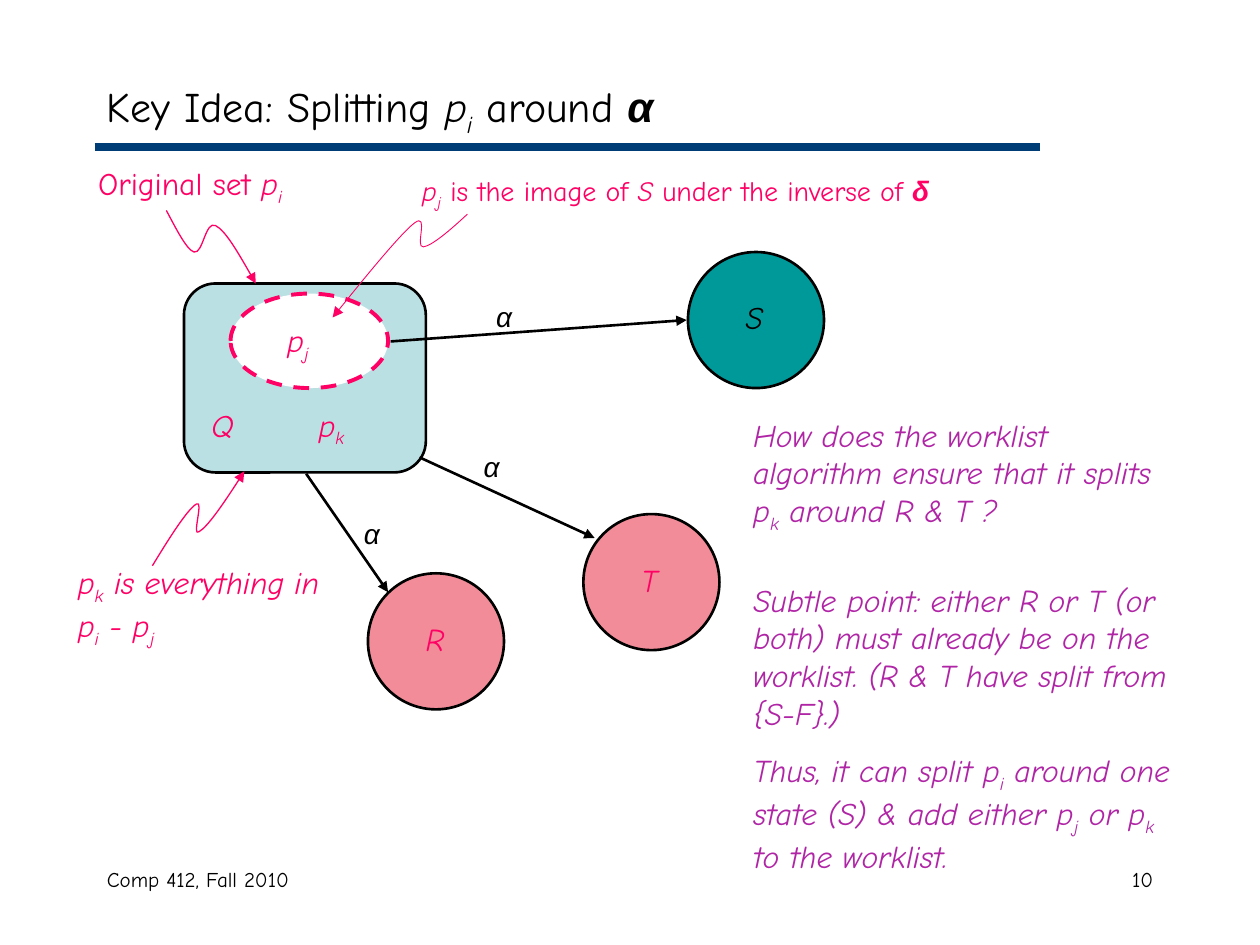
from lxml.etree import SubElement
from pptx import Presentation
from pptx.dml.color import RGBColor
from pptx.enum.dml import MSO_LINE
from pptx.enum.shapes import MSO_CONNECTOR, MSO_SHAPE
from pptx.enum.text import MSO_ANCHOR, PP_ALIGN
from pptx.oxml.ns import qn
from pptx.util import Inches, Pt

COLORS = {
    "black": "000000", "white": "FFFFFF", "navy": "003C75", "pink": "FF0065",
    "purple": "B025A6", "pale_blue": "BBE0E3", "teal": "009999", "rose": "F38C99",
}
BODY_FONT, SYMBOL_FONT = "Comic Neue", "Arial"
CIRCLE = 1.08


def color(name):
    return RGBColor.from_string(COLORS[name])


def write(para, text, size=18, ink="pink", italic=True, bold=False, font=BODY_FONT):
    """Add text to a paragraph; the letter after each underscore is a subscript."""
    first, *rest = text.split("_")
    pieces = [(first, False)]
    for part in rest:
        pieces += [(part[0], True), (part[1:], False)]
    for piece, subscript in pieces:
        if not piece:
            continue
        span = para.add_run()
        span.text = piece
        span.font.name, span.font.size = font, Pt(size)
        span.font.italic, span.font.bold = italic, bold
        span.font.color.rgb = color(ink)
        if subscript:
            span._r.get_or_add_rPr().set("baseline", "-25000")


class Slide:
    def __init__(self, page):
        self.page = page

    def outline(self, item, ink, weight, arrow=False):
        item.line.color.rgb = color(ink)
        item.line.width = Pt(weight)
        if arrow:
            SubElement(item.line._get_or_add_ln(), qn("a:tailEnd"), type="triangle")

    def text(self, left, top, width, height, *paragraphs, group=None, wrap=True,
             align=PP_ALIGN.LEFT, anchor=MSO_ANCHOR.TOP, **style):
        """Each paragraph is a string or a list of (text, format) pairs."""
        shapes = (group or self.page).shapes
        box = shapes.add_textbox(*map(Inches, (left, top, width, height)))
        frame = box.text_frame
        frame.word_wrap, frame.vertical_anchor = wrap, anchor
        for index, content in enumerate(paragraphs):
            para = frame.add_paragraph() if index else frame.paragraphs[0]
            para.alignment = align
            if index:
                para.space_before = Pt(11.2)
            spans = [(content, {})] if isinstance(content, str) else content
            for words, change in spans:
                write(para, words, **{**style, **change})

    def shape(self, kind, left, top, width, height, fill, ink="black", weight=1.5,
              group=None):
        shapes = (group or self.page).shapes
        item = shapes.add_shape(kind, *map(Inches, (left, top, width, height)))
        item.shadow.inherit = False
        item.fill.solid()
        item.fill.fore_color.rgb = color(fill)
        self.outline(item, ink, weight)
        return item

    def state(self, left, top, name, fill, ink="pink"):
        group = self.page.shapes.add_group_shape()
        self.shape(MSO_SHAPE.OVAL, left, top, CIRCLE, CIRCLE, fill, group=group)
        self.text(left + 0.36, top + 0.32, 0.36, 0.4, name,
                  group=group, wrap=False, ink=ink)

    def line(self, start, end, ink="black", weight=1.5, arrow=True):
        item = self.page.shapes.add_connector(
            MSO_CONNECTOR.STRAIGHT, *map(Inches, (*start, *end)))
        self.outline(item, ink, weight, arrow)
        SubElement(item._element.spPr, qn("a:effectLst"))

    def squiggle(self, *points, weight=0.75):
        """Draw cubic curves: a start, then two controls and an end for each curve."""
        start, *others = [(Inches(x), Inches(y)) for x, y in points]
        builder = self.page.shapes.build_freeform(*start)
        builder.add_line_segments(others, close=False)
        item = builder.convert_to_shape()
        trace = next(item._element.iter(qn("a:path")))
        segments = trace.findall(qn("a:lnTo"))
        for index, segment in enumerate(segments):
            if index % 3 == 0:
                curve = SubElement(trace, qn("a:cubicBezTo"))
            curve.append(segment[0])
            trace.remove(segment)
        item.shadow.inherit = False
        item.fill.background()
        self.outline(item, "pink", weight, arrow=True)


def main():
    deck = Presentation()
    deck.slide_width, deck.slide_height = Inches(10), Inches(7.5)
    slide = Slide(deck.slides.add_slide(deck.slide_layouts[6]))
    upright = {"italic": False}
    symbol = {"font": SYMBOL_FONT, "bold": True}

    # Set being split
    slide.line((0.75, 1.17), (8.25, 1.17), ink="navy", weight=4.5, arrow=False)
    whole = slide.page.shapes.add_group_shape()
    slide.shape(MSO_SHAPE.ROUNDED_RECTANGLE, 1.46, 2.25, 1.92, 1.5, "pale_blue",
                group=whole)
    slide.text(1.58, 3.17, 0.48, 0.4, "Q", group=whole)

    # Title and footer
    footer = {"size": 12, "ink": "black", "italic": False}
    slide.text(0.75, 6.83, 3.17, 0.5, "Comp 412, Fall 2010", **footer)
    slide.text(7.17, 6.83, 2.08, 0.5, "10", align=PP_ALIGN.RIGHT, **footer)
    slide.text(0.75, 0.58, 8.5, 0.58,
               [("Key Idea: Splitting ", upright), ("p_i", {}),
                (" around ", upright), ("α", symbol)],
               size=24, ink="black", anchor=MSO_ANCHOR.MIDDLE)

    # Subset and target states, with their transitions
    slide.line((3.1, 2.71), (5.45, 2.54))
    slide.state(5.46, 2, "S", "teal", ink="black")
    subset = slide.shape(MSO_SHAPE.OVAL, 1.83, 2.33, 1.25, 0.75, "white", "pink", 2.25)
    subset.line.dash_style = MSO_LINE.DASH
    slide.text(2.18, 2.5, 0.67, 0.44, "p_j")
    slide.text(2.43, 3.17, 0.67, 0.44, "p_k")
    slide.state(2.92, 4.55, "R", "rose")
    slide.line((2.43, 3.76), (3.08, 4.7))
    slide.state(4.63, 4.08, "T", "rose")
    slide.line((3.33, 3.63), (4.72, 4.27))
    for left, top in ((2.79, 4.05), (3.74, 3.52), (3.84, 2.33)):
        slide.text(left, top, 0.34, 0.37, "α", wrap=False,
                   size=16, ink="black", font=SYMBOL_FONT)

    # Annotations
    slide.text(0.68, 1.25, 2.08, 0.44, [("Original set ", upright), ("p_i", {})])
    slide.text(0.52, 4.42, 2.18, 0.78, "p_k is everything in p_i - p_j")
    slide.text(3.25, 1.33, 4.58, 0.41,
               [("p_j", {}), (" is the image of ", upright), ("S", {}),
                (" under the inverse of ", upright), ("δ", symbol)], size=16)
    slide.squiggle((1.32, 1.67),
                   (1.4, 1.82), (1.48, 1.98), (1.54, 2),
                   (1.61, 2.02), (1.63, 1.75), (1.71, 1.79),
                   (1.79, 1.83), (1.91, 2.04), (2.03, 2.25))
    slide.squiggle((1.21, 4.49),
                   (1.35, 4.26), (1.49, 4.04), (1.56, 4),
                   (1.62, 3.96), (1.52, 4.27), (1.58, 4.22),
                   (1.65, 4.18), (1.8, 3.96), (1.94, 3.74))
    slide.squiggle((3.71, 1.7),
                   (3.57, 1.83), (3.43, 1.95), (3.36, 1.96),
                   (3.29, 1.97), (3.41, 1.68), (3.29, 1.77),
                   (3.17, 1.86), (2.64, 2.52), (2.64, 2.52), weight=0.5)

    # Discussion
    slide.text(5.88, 3.25, 3.54, 1.04,
               "How does the worklist algorithm ensure that it splits p_k around R & T ?",
               ink="purple")
    slide.text(5.88, 4.56, 3.52, 2.44,
               "Subtle point: either R or T (or both) must already be on the worklist. "
               "(R & T have split from {S-F}.)",
               "Thus, it can split p_i around one state (S) & add either p_j or p_k "
               "to the worklist.",
               ink="purple")

    deck.save("out.pptx")


if __name__ == "__main__":
    main()
